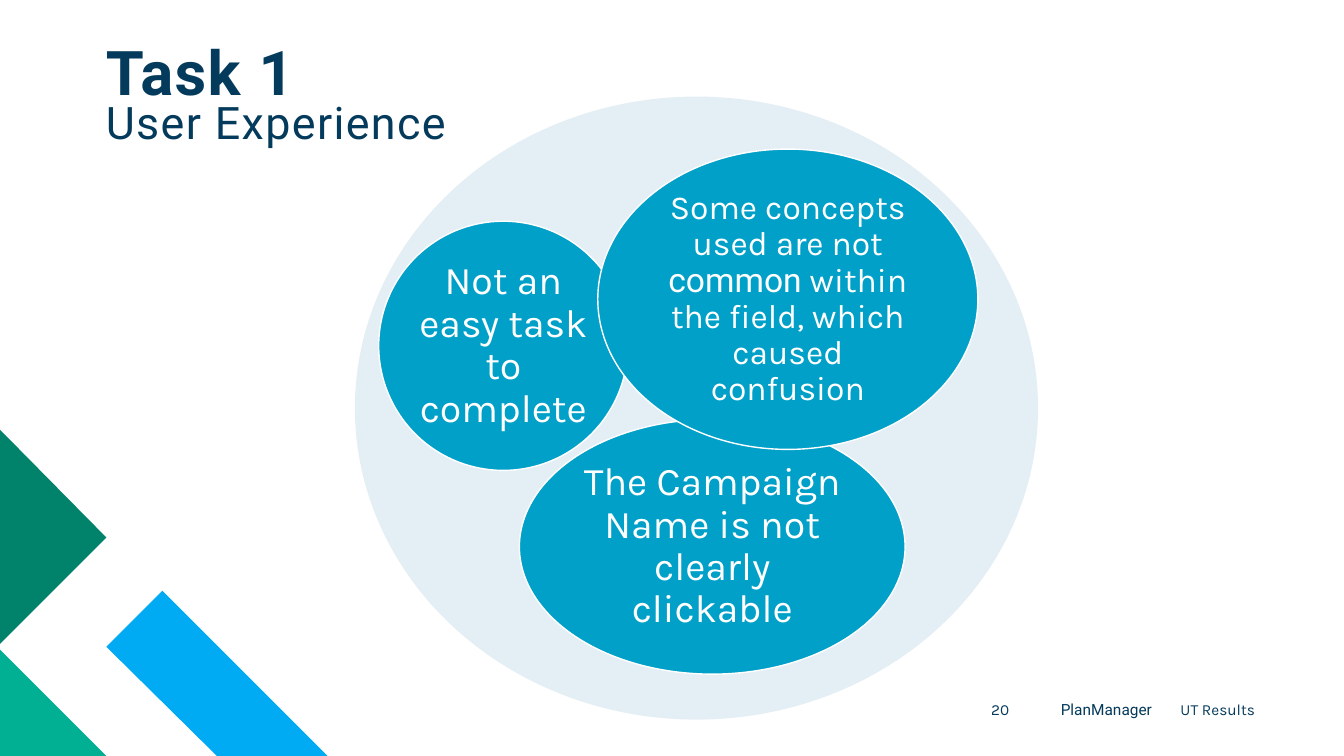
import pptx
import pptx.dml.color
import pptx.enum.shapes
import pptx.enum.text
import pptx.oxml
import pptx.oxml.ns
import pptx.util

Pt = pptx.util.Pt
ALIGN = pptx.enum.text.PP_ALIGN
ANCHOR = pptx.enum.text.MSO_ANCHOR
OVAL = pptx.enum.shapes.MSO_SHAPE.OVAL
NAVY, WHITE, BUBBLE_BLUE = "043A5B", "FFFFFF", "00A0C8"


def rgb(color):
    return pptx.dml.color.RGBColor.from_string(color)


def format_frame(frame, size, color, font, align, anchor, margin=0):
    frame.word_wrap = True
    frame.auto_size = pptx.enum.text.MSO_AUTO_SIZE.NONE
    frame.vertical_anchor = anchor
    frame.margin_left = frame.margin_right = Pt(margin)
    frame.margin_top = frame.margin_bottom = Pt(margin)
    paragraph = frame.paragraphs[0]
    paragraph.alignment = align
    for run in paragraph.runs:
        run.font.size = Pt(size)
        run.font.name = font
        run.font.color.rgb = rgb(color)
    return paragraph


deck = pptx.Presentation()
deck.slide_width, deck.slide_height = Pt(960), Pt(540)
slide = deck.slides.add_slide(deck.slide_layouts[5])
shapes = slide.shapes

# Footer
for label, font, left, width in [
    ("20", "Karla", 688, 33),
    ("PlanManager", "Roboto", 714, 109),
    ("UT Results", "Karla", 800.5, 96),
]:
    footer = shapes.add_textbox(Pt(left), Pt(500), Pt(width), Pt(21))
    footer.text_frame.text = label
    format_frame(footer.text_frame, 11, NAVY, font, ALIGN.RIGHT, ANCHOR.TOP)

# Corner decoration
for color, corners in [
    ("00ABF3", [(233.5, 540), (155, 540), (76.5, 461.5), (116, 422.5)]),
    ("01AF92", [(76.5, 540), (0, 540), (0, 463.5)]),
    ("00836A", [(0, 307), (76.5, 383.5), (0, 460)]),
]:
    builder = shapes.build_freeform(*corners[0], scale=Pt(1))
    builder.add_line_segments(corners[1:], close=True)
    decoration = builder.convert_to_shape()
    decoration.shadow.inherit = False
    decoration.fill.solid()
    decoration.fill.fore_color.rgb = rgb(color)
    decoration.line.fill.background()

# Title and subtitle
title = shapes.title
title.left, title.top, title.width, title.height = Pt(75.6), Pt(29.5), Pt(389), Pt(48)
subtitle = shapes.add_textbox(Pt(75.6), Pt(58.5), Pt(389), Pt(48))
for heading, text, size, bold in [
    (title, "Task 1", 44, True),
    (subtitle, "User Experience", 32, False),
]:
    heading.text_frame.text = text
    line = format_frame(heading.text_frame, size, NAVY, "Roboto", ALIGN.LEFT, ANCHOR.BOTTOM)
    line.line_spacing = 0.9
    line.runs[0].font.bold = bold
    line.runs[0].font._element.set("spc", "100")

# Pale circle behind the findings
backdrop = shapes.add_shape(OVAL, Pt(253.5), Pt(69), Pt(488), Pt(445))
backdrop.shadow.inherit = False
backdrop.fill.solid()
backdrop.fill.fore_color.rgb = rgb("BDD6E6")
backdrop.line.fill.background()
tint = backdrop.fill._xPr.find(".//" + pptx.oxml.ns.qn("a:srgbClr"))
tint.append(pptx.oxml.parse_xml(
    f'<a:alpha {pptx.oxml.ns.nsdecls("a")} val="40000"/>'))

# Findings, each a list of text pieces with their fonts
for pieces, size, left, top, width, height in [
    ([("The Campaign Name is not clearly clickable", "Karla")],
     28, 371, 299.5, 275.5, 182),
    ([("Not an easy task to complete", "Karla")],
     28, 270.5, 158, 178, 178),
    ([("Some concepts used are not ", "Karla"), ("common", "Roboto"),
      (" within the field, which caused confusion", "Karla")],
     24, 427, 106.5, 271.5, 214.5),
]:
    bubble = shapes.add_shape(OVAL, Pt(left), Pt(top), Pt(width), Pt(height))
    bubble.shadow.inherit = False
    bubble.fill.solid()
    bubble.fill.fore_color.rgb = rgb(BUBBLE_BLUE)
    bubble.line.color.rgb = rgb(WHITE)
    bubble.line.width = Pt(1)
    finding = bubble.text_frame.paragraphs[0]
    for text, font in pieces:
        finding.add_run().text = text
    format_frame(bubble.text_frame, size, WHITE, "Karla", ALIGN.CENTER, ANCHOR.MIDDLE, 2.5)
    finding.line_spacing = 0.9
    for run, (text, font) in zip(finding.runs, pieces):
        run.font.name = font

deck.save("out.pptx")
